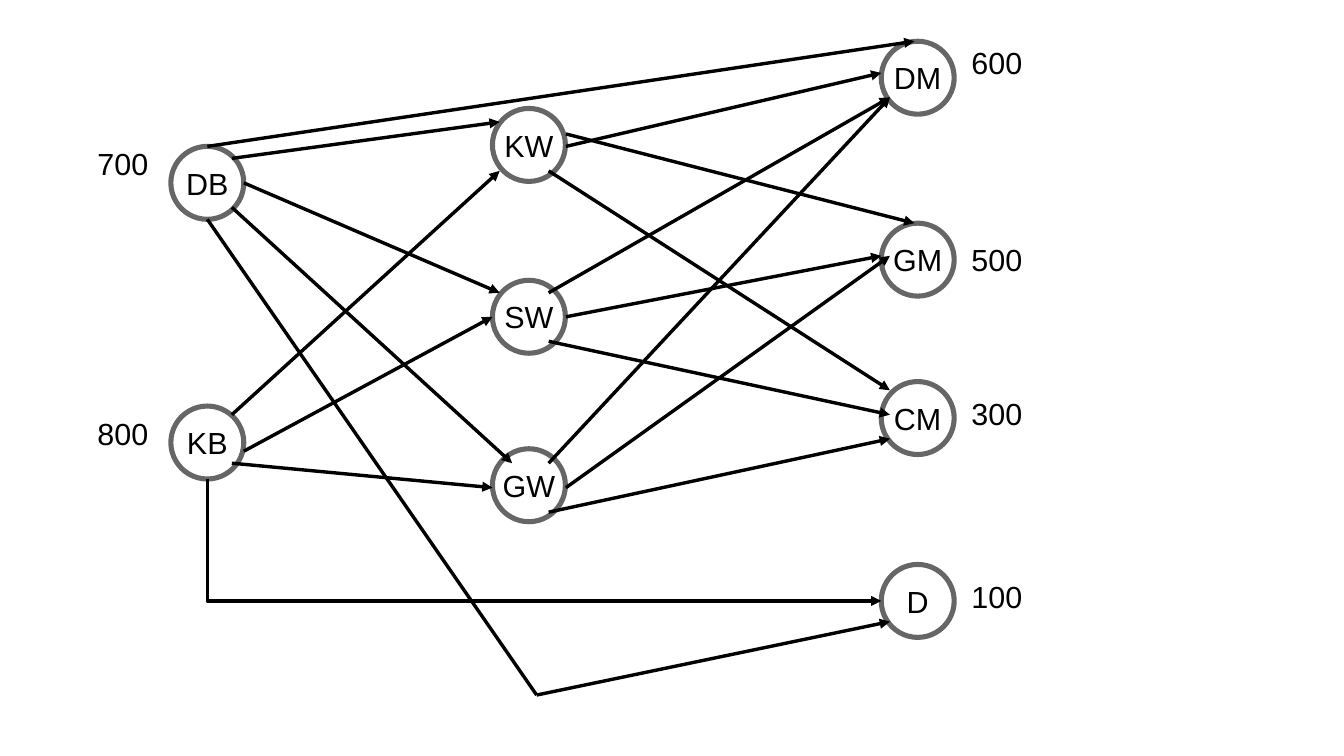
from dataclasses import dataclass

from pptx import Presentation
from pptx.dml.color import RGBColor
from pptx.enum.shapes import MSO_CONNECTOR as Link, MSO_SHAPE as Preset
from pptx.enum.text import MSO_ANCHOR as Anchor, MSO_AUTO_SIZE as AutoSize, PP_ALIGN as Align
from pptx.oxml.ns import qn
from pptx.oxml.xmlchemy import OxmlElement
from pptx.util import Cm, Pt


@dataclass(frozen=True)
class Theme:
    ink: RGBColor = RGBColor(0, 0, 0)
    font: str = "Arial"
    text_size: float = 18
    ring_width: float = 3
    ring_opacity: int = 60
    arrow_width: float = 0
    node_size: float = 1.52
    amount_size: tuple = (2.29, 1.68)


def add_child(parent, tag, **attributes):
    child = OxmlElement(tag)
    for key, value in attributes.items():
        child.set(key, value)
    parent.append(child)
    return child


class NetworkSlide:
    def __init__(self, slide, theme):
        self.shapes = slide.shapes
        self.theme = theme

    def add_text(self, frame, text, insets):
        side, top = map(Cm, insets)
        frame.margin_left = frame.margin_right = side
        frame.margin_top = frame.margin_bottom = top
        run = frame.paragraphs[0].add_run()
        run.text = text
        run.font.name = self.theme.font
        run.font.size = Pt(self.theme.text_size)
        run.font.color.rgb = self.theme.ink

    def node(self, name, left, top):
        size = Cm(self.theme.node_size)
        circle = self.shapes.add_shape(Preset.OVAL, Cm(left), Cm(top), size, size)
        circle.shadow.inherit = False
        circle.fill.background()
        circle.line.color.rgb = self.theme.ink
        circle.line.width = Pt(self.theme.ring_width)
        ring_color = circle._element.spPr.find(f"{qn('a:ln')}//{qn('a:srgbClr')}")
        add_child(ring_color, "a:alpha", val=str(self.theme.ring_opacity * 1000))
        frame = circle.text_frame
        frame.word_wrap = False
        frame.vertical_anchor = Anchor.MIDDLE
        self.add_text(frame, name, (0.3, 0.18))
        frame.paragraphs[0].alignment = Align.CENTER

    def amount(self, value, left, top):
        width, height = map(Cm, self.theme.amount_size)
        label = self.shapes.add_textbox(Cm(left), Cm(top), width, height)
        label.text_frame.word_wrap = True
        label.text_frame.auto_size = AutoSize.SHAPE_TO_FIT_TEXT
        self.add_text(label.text_frame, value, (0.25, 0.13))

    def route(self, start, end, kind=Link.STRAIGHT, head=True):
        connector = self.shapes.add_connector(kind, *map(Cm, start + end))
        connector.line.color.rgb = self.theme.ink
        connector.line.width = Pt(self.theme.arrow_width)
        properties = connector._element.spPr
        if head:
            add_child(properties.find(qn("a:ln")), "a:tailEnd", type="triangle")
        add_child(properties, "a:effectLst")
        return connector

    def down_then_right(self, start, end):
        """Draw a one-corner route as a mirrored elbow turned by 270 degrees."""
        (x1, y1), (x2, y2) = start, end
        mid_x, mid_y = (x1 + x2) / 2, (y1 + y2) / 2
        half_drop, half_run = (y2 - y1) / 2, (x2 - x1) / 2
        elbow = self.route((mid_x + half_drop, mid_y - half_run),
                           (mid_x - half_drop, mid_y + half_run), Link.ELBOW)
        properties = elbow._element.spPr
        properties.find(qn("a:xfrm")).set("rot", str(270 * 60000))
        properties.find(qn("a:prstGeom")).set("prst", "bentConnector2")


# Column left edge -> (node, top)
NODES = {
    3.56: [("DB", 3.05), ("KB", 8.46)],
    10.26: [("KW", 2.26), ("SW", 5.84), ("GW", 9.35)],
    18.36: [("DM", 0.86), ("GM", 4.65), ("CM", 7.95), ("D", 11.76)],
}
# Column left edge -> (amount, top)
AMOUNTS = {
    1.78: [("700", 2.9), ("800", 8.51)],
    19.99: [("600", 0.79), ("500", 4.9), ("300", 8.1), ("100", 11.91)],
}
ROUTES = [
    # DB to the warehouses
    ((4.83, 3.3), (10.41, 2.54)),
    ((5.08, 3.81), (10.41, 6.1)),
    ((4.83, 4.32), (10.67, 9.65)),
    # KB to the warehouses
    ((4.83, 8.64), (10.41, 3.56)),
    ((5.08, 9.4), (10.26, 6.6)),
    ((4.83, 9.65), (10.26, 10.16)),
    # DB straight to DM
    ((4.32, 3.05), (19.05, 0.86)),
    # KW to the markets
    ((11.79, 3.05), (18.36, 1.52)),
    ((11.79, 2.79), (19.05, 4.65)),
    ((11.43, 3.56), (18.54, 8.13)),
    # SW to the markets
    ((11.43, 6.1), (18.54, 2.03)),
    ((11.79, 6.6), (18.36, 5.33)),
    ((11.43, 7.11), (18.54, 8.64)),
    # GW to the markets
    ((11.43, 9.65), (18.54, 2.03)),
    ((11.79, 10.16), (18.54, 5.33)),
    ((11.43, 10.67), (18.54, 9.14)),
]
DB_BOTTOM, DB_TURN, D_LOWER = (4.32, 4.57), (11.18, 14.48), (18.54, 12.95)
KB_BOTTOM, D_LEFT = (4.32, 9.98), (18.36, 12.52)


def main():
    deck = Presentation()
    deck.slide_width, deck.slide_height = Cm(28), Cm(15.75)
    network = NetworkSlide(deck.slides.add_slide(deck.slide_layouts[6]), Theme())
    for left, column in NODES.items():
        for name, top in column:
            network.node(name, left, top)
    for start, end in ROUTES:
        network.route(start, end)
    network.down_then_right(KB_BOTTOM, D_LEFT)
    network.route(DB_BOTTOM, DB_TURN, head=False)
    network.route(DB_TURN, D_LOWER)
    for left, column in AMOUNTS.items():
        for value, top in column:
            network.amount(value, left, top)
    deck.save("out.pptx")


if __name__ == "__main__":
    main()
